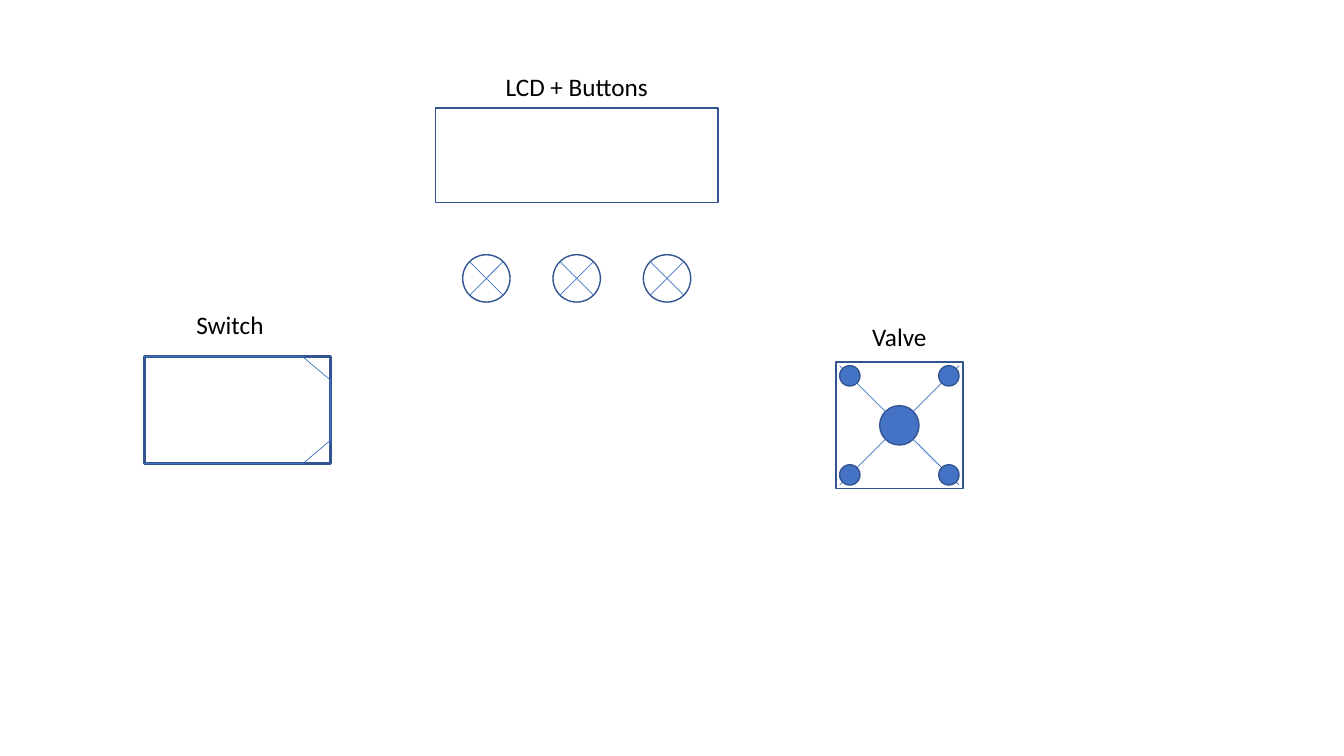
from pptx import Presentation
from pptx.dml.color import RGBColor
from pptx.enum.shapes import MSO_CONNECTOR as Link, MSO_SHAPE as Kind
from pptx.enum.text import MSO_AUTO_SIZE as Fit, PP_ALIGN as Align
from pptx.util import Inches, Pt
from lxml import etree

BLUE, NAVY, BLACK = "4472C4", "325491", "000000"
DRAW = "{http://schemas.openxmlformats.org/drawingml/2006/main}"


def paint(color, code):
    color.rgb = RGBColor.from_string(code)


def part(box, x, y, w, h):
    """Box inside a box, given as shares of its size."""
    left, top, wide, high = box
    return left + x * wide, top + y * high, w * wide, h * high


def shape(host, kind, box, fill=None, line=1, turn=0):
    item = host.add_shape(kind, *map(Inches, box))
    item.shadow.inherit = False
    item.rotation = turn
    if fill:
        item.fill.solid()
        paint(item.fill.fore_color, fill)
    else:
        item.fill.background()
    paint(item.line.color, NAVY)
    item.line.width = Pt(line)


def line(host, box, start, end):
    """Thin line between two points, given as shares of the box."""
    ends = [Inches(n) for x, y in (start, end) for n in part(box, x, y, 0, 0)[:2]]
    item = host.add_connector(Link.STRAIGHT, *ends)
    paint(item.line.color, BLUE)
    item.line.width = Pt(0.5)
    etree.SubElement(item._element.spPr, DRAW + "effectLst")


def cross(host, box, inset):
    far = 1 - inset
    line(host, box, (inset, inset), (far, far))
    line(host, box, (far, inset), (inset, far))


def label(host, text, mid, top, wide):
    item = host.add_textbox(*map(Inches, (mid - wide / 2, top, wide, 0.4)))
    frame = item.text_frame
    frame.word_wrap = False
    frame.auto_size = Fit.SHAPE_TO_FIT_TEXT
    frame.text = text
    para = frame.paragraphs[0]
    para.alignment = Align.CENTER
    font = para.runs[0].font
    font.name, font.size = "Calibri", Pt(18)
    paint(font.color, BLACK)


def switch(host, box):
    left, top, wide, high = box
    # Body, standing upright and turned on its side
    body = (left + (wide - high) / 2, top + (high - wide) / 2, high, wide)
    shape(host, Kind.RECTANGLE, body, line=2, turn=90)
    # Edges and cut corners
    cut, low = 0.85, 0.22
    line(host, box, (1, low), (1, 1 - low))
    for edge, bend in ((0, low), (1, 1 - low)):
        line(host, box, (0, edge), (cut, edge))
        line(host, box, (cut, edge), (1, bend))
    label(host, "Switch", left + 0.46 * wide, top - 0.52, 0.88)


def valve(host, box):
    left, top, wide, high = box
    inset, dot, hub = 0.03, 0.16, 0.31
    start = (1 - hub) / 2
    # Hub, arms and frame
    shape(host, Kind.OVAL, part(box, start, start, hub, hub), BLUE)
    cross(host, box, inset)
    shape(host, Kind.RECTANGLE, box)
    # Corner dots
    spots = inset, 1 - inset - dot
    for x in spots:
        for y in spots:
            shape(host, Kind.OVAL, part(box, x, y, dot, dot), BLUE)
    label(host, "Valve", left + wide / 2, top - 0.45, 0.75)


def panel(host, box):
    left, top, wide, high = box
    # Screen
    label(host, "LCD + Buttons", left + wide / 2, top - 0.41, 1.64)
    shape(host, Kind.RECTANGLE, box)
    # Row of crossed buttons
    size, pitch = high / 2, 0.32 * wide
    for step in (-1, 0, 1):
        x = left + wide / 2 + step * pitch - size / 2
        knob = (x, top + 1.55 * high, size, size)
        group = host.add_group_shape().shapes
        shape(group, Kind.OVAL, knob)
        cross(group, knob, 0.15)


def main():
    deck = Presentation()
    deck.slide_width, deck.slide_height = Inches(13.33), Inches(7.5)
    host = deck.slides.add_slide(deck.slide_layouts[6]).shapes
    switch(host, (1.43, 3.54, 1.85, 1.06))
    valve(host, (8.29, 3.59, 1.26, 1.26))
    panel(host, (4.32, 1.07, 2.8, 0.94))
    deck.save("out.pptx")


if __name__ == "__main__":
    main()
